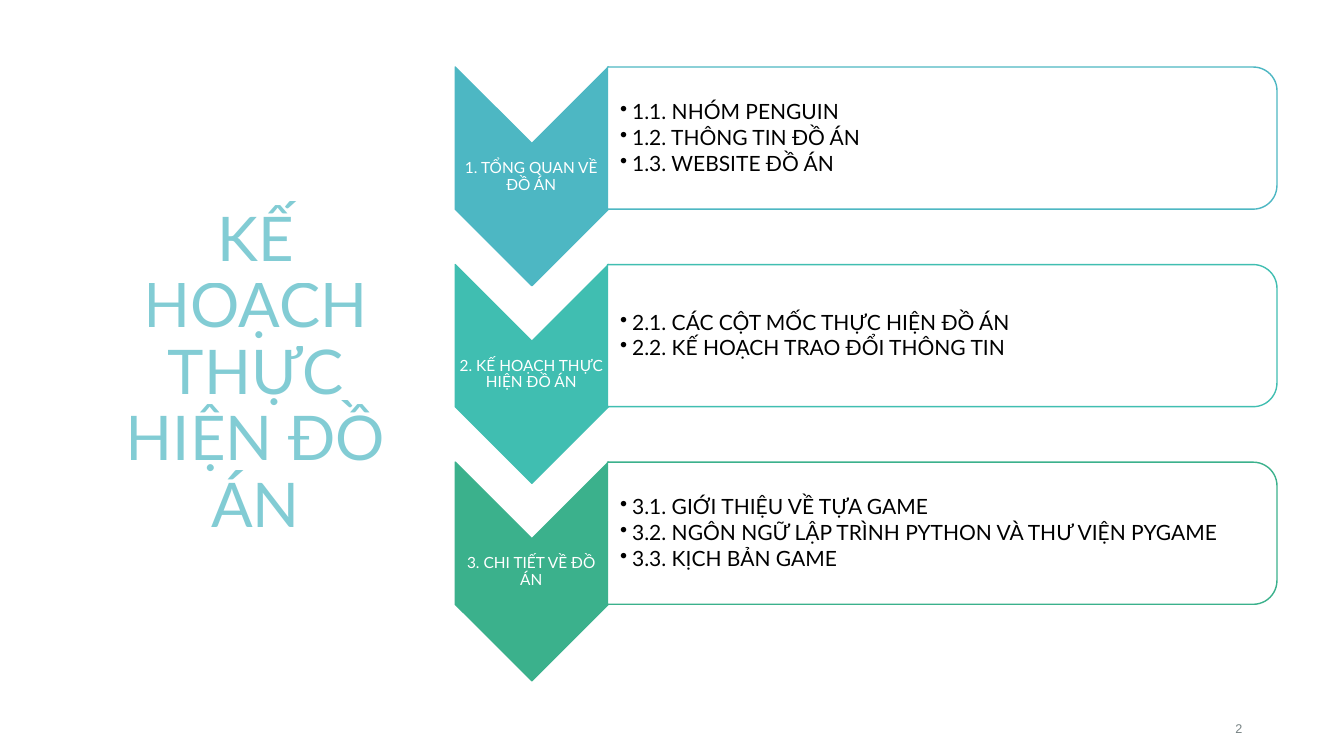
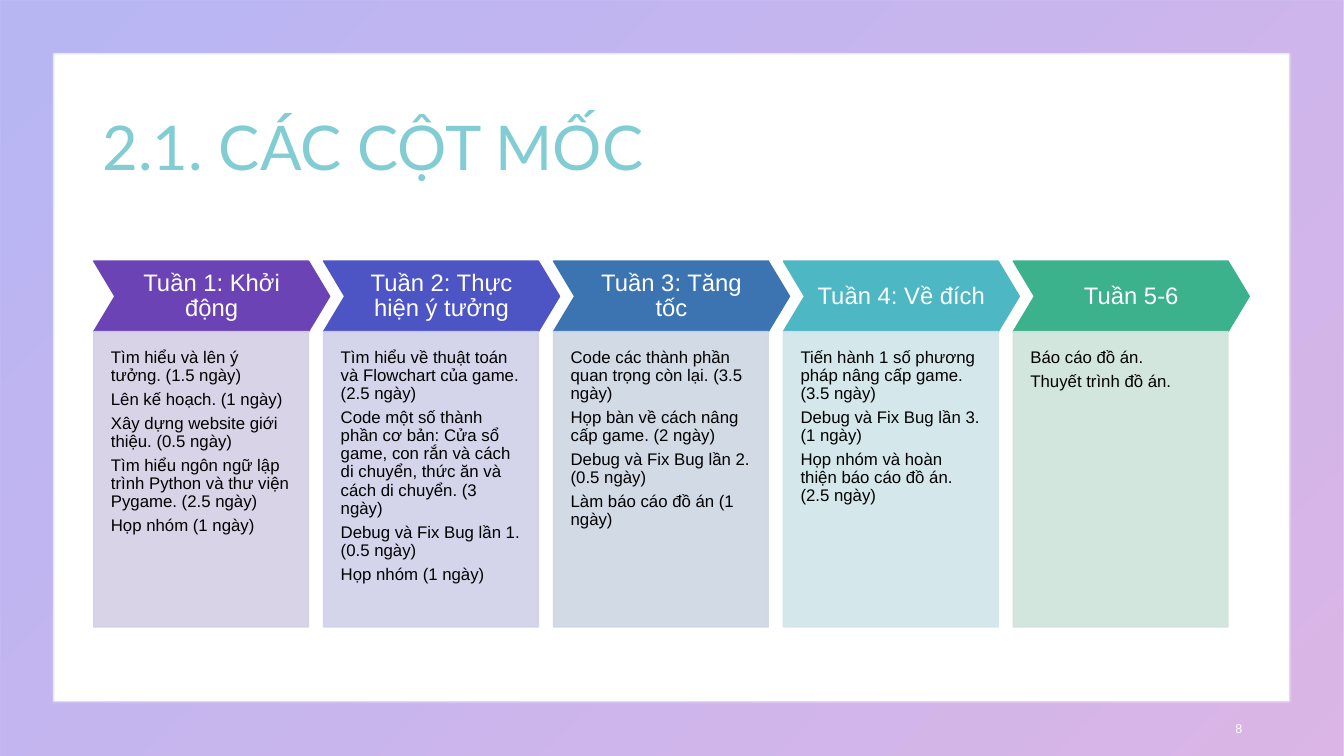
from lxml.etree import SubElement
from pptx import Presentation
from pptx.dml.color import RGBColor
from pptx.enum.shapes import MSO_SHAPE as SHAPE
from pptx.enum.text import MSO_ANCHOR as ANCHOR, PP_ALIGN as ALIGN
from pptx.oxml.ns import qn
from pptx.util import Inches, Pt

COLORS = {
    "purple": "6B43B5", "indigo": "4D54C3", "blue": "3B74B1",
    "teal": "4DB7C3", "mint": "40BEB1", "green": "3BB18C",
    "purple_tint": "D4CFE5", "indigo_tint": "D0D1E9", "blue_tint": "CED6E4",
    "teal_tint": "D0E6E9", "green_tint": "CEE4DA",
    "frame_start": "504CE5", "frame_end": "A84DC3",
    "white": "FFFFFF", "black": "000000", "ink": "1C2F31",
}
HEADING_FONT, BODY_FONT = "Lato", "Arial"
SLIDE_W, SLIDE_H = 13.33, 7.5

AGENDA = [
    ("teal", "1. TỔNG QUAN VỀ ĐỒ ÁN",
     ["1.1. NHÓM PENGUIN", "1.2. THÔNG TIN ĐỒ ÁN", "1.3. WEBSITE ĐỒ ÁN"]),
    ("mint", "2. KẾ HOẠCH THỰC HIỆN ĐỒ ÁN",
     ["2.1. CÁC CỘT MỐC THỰC HIỆN ĐỒ ÁN", "2.2. KẾ HOẠCH TRAO ĐỔI THÔNG TIN"]),
    ("green", "3. CHI TIẾT VỀ ĐỒ ÁN",
     ["3.1. GIỚI THIỆU VỀ TỰA GAME",
      "3.2. NGÔN NGỮ LẬP TRÌNH PYTHON VÀ THƯ VIỆN PYGAME",
      "3.3. KỊCH BẢN GAME"]),
]
MILESTONES = [
    ("purple", "Tuần 1: Khởi động",
     ["Tìm hiểu và lên ý tưởng. (1.5 ngày)", "Lên kế hoạch. (1 ngày)",
      "Xây dựng website giới thiệu. (0.5 ngày)",
      "Tìm hiểu ngôn ngữ lập trình Python và thư viện Pygame. (2.5 ngày)",
      "Họp nhóm (1 ngày)"]),
    ("indigo", "Tuần 2: Thực hiện ý tưởng",
     ["Tìm hiểu về thuật toán và Flowchart của game. (2.5 ngày)",
      "Code một số thành phần cơ bản: Cửa sổ game, con rắn và cách di chuyển, "
      "thức ăn và cách di chuyển. (3 ngày)",
      "Debug và Fix Bug lần 1. (0.5 ngày)", "Họp nhóm (1 ngày)"]),
    ("blue", "Tuần 3: Tăng tốc",
     ["Code các thành phần quan trọng còn lại. (3.5 ngày)",
      "Họp bàn về cách nâng cấp game. (2 ngày)",
      "Debug và Fix Bug lần 2. (0.5 ngày)", "Làm báo cáo đồ án (1 ngày)"]),
    ("teal", "Tuần 4: Về đích",
     ["Tiến hành 1 số phương pháp nâng cấp game. (3.5 ngày)",
      "Debug và Fix Bug lần 3. (1 ngày)",
      "Họp nhóm và hoàn thiện báo cáo đồ án. (2.5 ngày)"]),
    ("green", "Tuần 5-6", ["Báo cáo đồ án.", "Thuyết trình đồ án."]),
]


# Basic elements
def rgb(name):
    return RGBColor.from_string(COLORS[name])


def set_opacity(element, percent):
    for color in element.iter(qn("a:srgbClr")):
        SubElement(color, qn("a:alpha"), val=str(percent * 1000))


def add_block(slide, preset, box, fill, line=None, adjust=None, rotation=0):
    block = slide.shapes.add_shape(preset, *map(Inches, box))
    block.shadow.inherit = False
    block.rotation = rotation
    if adjust is not None:
        block.adjustments[0] = adjust
    block.fill.solid()
    block.fill.fore_color.rgb = rgb(fill)
    if line:
        block.line.color.rgb = rgb(line)
        block.line.width = Pt(1)
    else:
        block.line.fill.background()
    return block


def write(shape, lines, size, font, color, align=ALIGN.LEFT, anchor=ANCHOR.MIDDLE,
          insets=(0.1, 0.05, 0.1, 0.05), spacing=0.9, after=0, bullet=False):
    """Fill a shape with one paragraph per line; return the runs."""
    frame = shape.text_frame
    frame.word_wrap = True
    frame.vertical_anchor = anchor
    (frame.margin_left, frame.margin_top,
     frame.margin_right, frame.margin_bottom) = map(Inches, insets)
    runs = []
    for index, line in enumerate(lines):
        paragraph = frame.add_paragraph() if index else frame.paragraphs[0]
        paragraph.alignment = align
        paragraph.line_spacing = spacing
        paragraph.space_after = Pt(after)
        if bullet:
            props = paragraph._p.get_or_add_pPr()
            props.set("marL", str(Inches(0.12)))
            props.set("indent", str(-Inches(0.12)))
            SubElement(props, qn("a:buChar"), char="•")
        run = paragraph.add_run()
        run.text = line
        run.font.size = Pt(size)
        run.font.name = font
        run.font.color.rgb = rgb(color)
        runs.append(run)
    return runs


def add_text(slide, box, lines, size, font, color, **style):
    return write(slide.shapes.add_textbox(*map(Inches, box)),
                 lines, size, font, color, **style)


# Parts shared by the slides
def add_title(slide, box, text, align=ALIGN.LEFT):
    title, = add_text(slide, box, [text], 44, HEADING_FONT, "teal", align=align)
    set_opacity(title._r, 70)


def add_page_number(slide, number, color, opacity=100):
    page, = add_text(slide, (9.42, 7.03, 3, 0.4), [number], 9, BODY_FONT, color,
                     align=ALIGN.RIGHT, spacing=1, after=6)
    page._r.get_or_add_rPr().set("spc", "150")
    set_opacity(page._r, opacity)


def add_frame(slide):
    border = add_block(slide, SHAPE.FRAME, (0, 0, SLIDE_W, SLIDE_H), "white",
                       adjust=0.072)
    border.fill.gradient()
    border.fill.gradient_angle = 315
    for stop, color, position in zip(border.fill.gradient_stops,
                                     ("frame_start", "frame_end"), (0.02, 1)):
        stop.color.rgb = rgb(color)
        stop.position = position
    set_opacity(border._element.spPr, 40)


# Content elements
def add_agenda_row(slide, top, color, label, items):
    """Draw a downward chevron with its label, and the list panel beside it."""
    add_block(slide, SHAPE.CHEVRON, (4.19, top + 0.32, 2.17, 1.52), color, color,
              rotation=90)
    add_text(slide, (4.51, top + 0.76, 1.52, 0.65), [label], 11, HEADING_FONT,
             "white", align=ALIGN.CENTER, insets=(0.01,) * 4, after=3.85)
    add_block(slide, SHAPE.ROUND_2_SAME_RECTANGLE, (8.64, top - 2.62, 1.41, 6.64),
              "white", color, rotation=90)
    add_text(slide, (6.03, top + 0.07, 6.57, 1.27), items, 15, HEADING_FONT, "black",
             insets=(0.12, 0.01, 0.01, 0.01), after=2.25, bullet=True)


def add_milestone(slide, left, color, heading, tasks):
    """Draw a week chevron with its task column below."""
    week = add_block(slide, SHAPE.CHEVRON, (left, 2.59, 2.34, 0.7), color, color,
                     adjust=0.3)
    write(week, [heading], 17, BODY_FONT, "white", align=ALIGN.CENTER,
          insets=(0.09,) * 4, after=5.95)
    tint = color + "_tint"
    column = add_block(slide, SHAPE.RECTANGLE, (left, 3.29, 2.13, 2.93), tint, tint)
    set_opacity(column._element.spPr, 90)
    write(column, tasks, 12, BODY_FONT, "black", anchor=ANCHOR.TOP,
          insets=(0.17, 0.17, 0.17, 0.34), after=4.2)


# Slides
def build_agenda(slide):
    add_title(slide, (0.92, 0.67, 3.23, 6.09), "KẾ HOẠCH THỰC HIỆN ĐỒ ÁN",
              ALIGN.CENTER)
    add_page_number(slide, "2", "ink", 60)
    for row, section in enumerate(AGENDA):
        add_agenda_row(slide, 0.67 + row * 1.96, *section)


def build_milestones(slide):
    add_frame(slide)
    add_title(slide, (0.92, 0.74, 11.5, 1.5), "2.1. CÁC CỘT MỐC")
    add_page_number(slide, "8", "white")
    for index, milestone in enumerate(MILESTONES):
        add_milestone(slide, 0.93 + index * 2.28, *milestone)


def main():
    deck = Presentation()
    deck.slide_width, deck.slide_height = Inches(SLIDE_W), Inches(SLIDE_H)
    for build in (build_agenda, build_milestones):
        build(deck.slides.add_slide(deck.slide_layouts[6]))
    deck.save("out.pptx")


if __name__ == "__main__":
    main()
